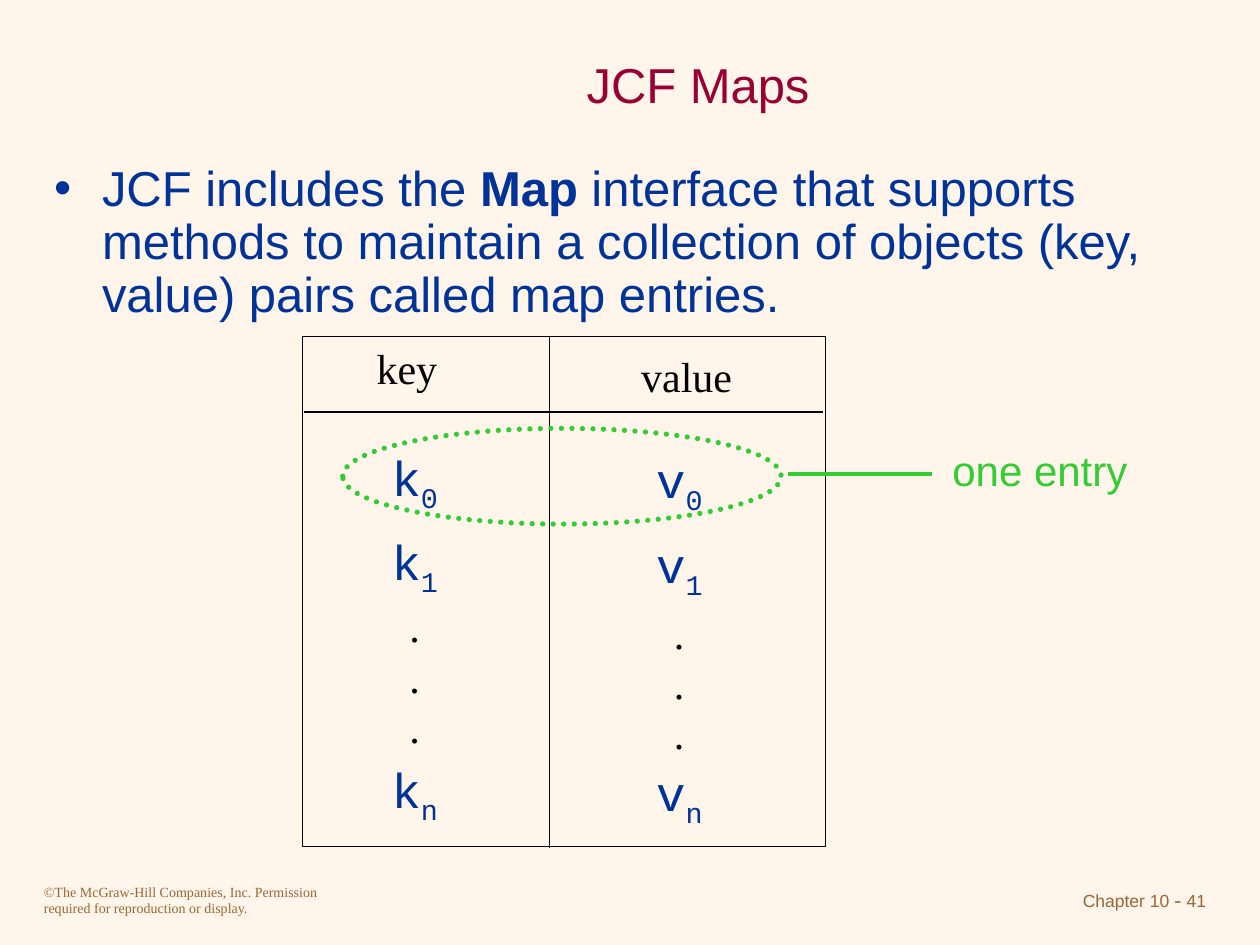
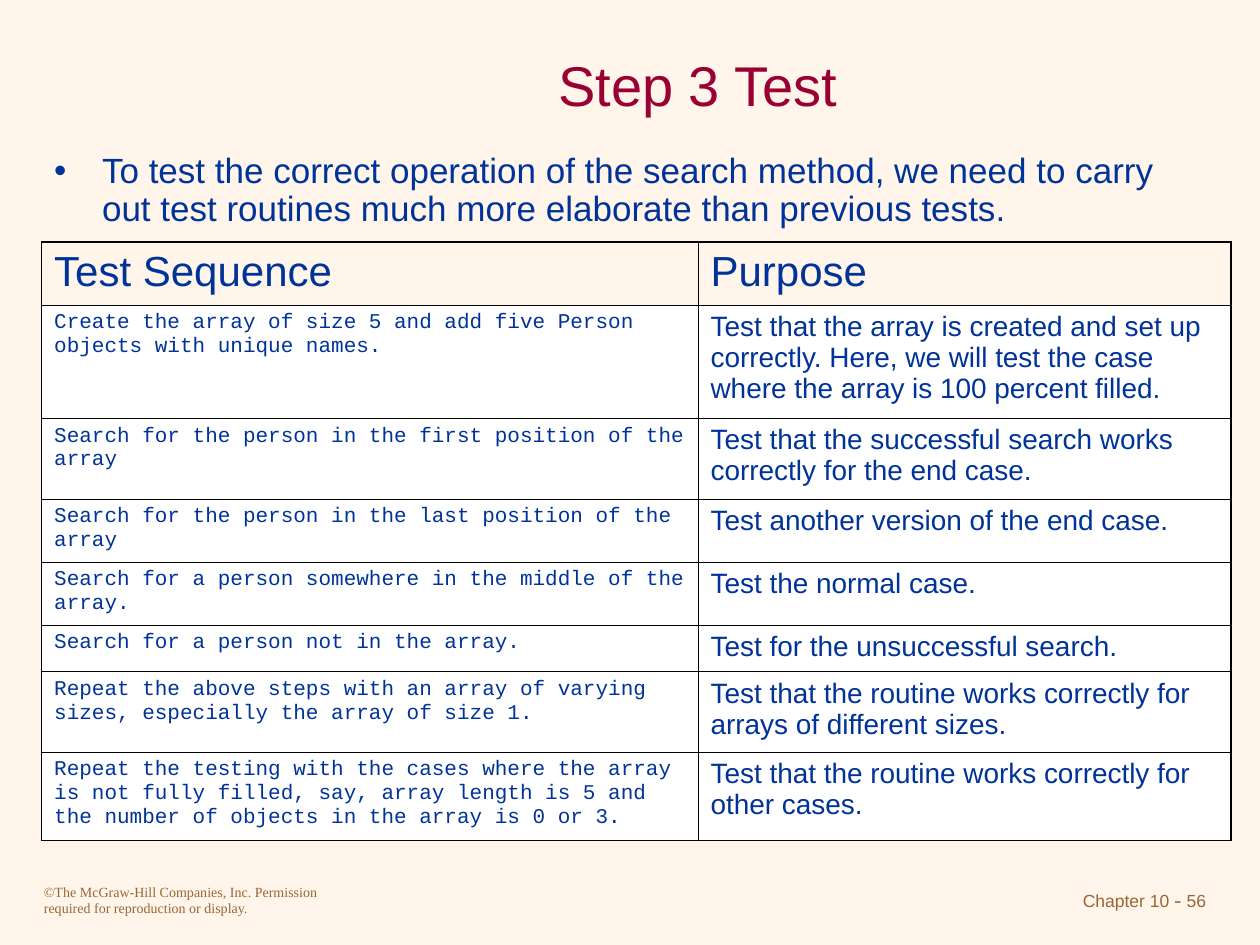
from lxml import etree
from pptx import Presentation
from pptx.dml.color import RGBColor
from pptx.enum.dml import MSO_LINE
from pptx.enum.shapes import MSO_CONNECTOR, MSO_SHAPE
from pptx.enum.text import MSO_ANCHOR, MSO_AUTO_SIZE, PP_ALIGN
from pptx.oxml.ns import qn
from pptx.util import Emu, Pt

EMU_PER_PX = 9144
CREAM, WHITE, BLACK = "FFF5EB", "FFFFFF", "000000"
BLUE, MAROON, BROWN, GREEN = "003399", "990033", "996633", "33CC33"
SANS, SERIF, MONO = "Arial", "Times New Roman", "Courier New"
LEFT, CENTER, RIGHT = PP_ALIGN.LEFT, PP_ALIGN.CENTER, PP_ALIGN.RIGHT
MIDDLE, TOP = MSO_ANCHOR.MIDDLE, MSO_ANCHOR.TOP
NO_FIT = MSO_AUTO_SIZE.NONE
RECT, OVAL = MSO_SHAPE.RECTANGLE, MSO_SHAPE.OVAL
STRAIGHT = MSO_CONNECTOR.STRAIGHT
ROUND_DOT = MSO_LINE.ROUND_DOT
OUTER, INNER = 1.08, 0.45

COPYRIGHT = ("©The McGraw-Hill Companies, Inc. Permission required "
             "for reproduction or display.")
TEST_COLUMNS = [521, 423]
TEST_ROWS = [
    (50, "Test Sequence", "Purpose"),
    (90, "Create the array of size 5 and add five Person objects with unique names.",
     "Test that the array is created and set up correctly. Here, we will test "
     "the case where the array is 100 percent filled."),
    (64, "Search for the person in the first position of the array",
     "Test that the successful search works correctly for the end case."),
    (50, "Search for the person in the last position of the array",
     "Test another version of the end case."),
    (50, "Search for a person somewhere in the middle of the array.",
     "Test the normal case."),
    (37, "Search for a person not in the array.",
     "Test for the unsuccessful search."),
    (64, "Repeat the above steps with an array of varying sizes, especially "
     "the array of size 1.",
     "Test that the routine works correctly for arrays of different sizes."),
    (70, "Repeat the testing with the cases where the array is not fully filled, "
     "say, array length is 5 and the number of objects in the array is 0 or 3.",
     "Test that the routine works correctly for other cases."),
]


def px(*lengths):
    """Turn px lengths into EMU."""
    return [Emu(n * EMU_PER_PX) for n in lengths]


def rgb(color):
    """Turn a hex string into a colour."""
    return RGBColor.from_string(color)


def add_run(p, text, size, font, color, bold=False, baseline=0):
    """Add one formatted run to a paragraph."""
    r = p.add_run()
    r.text = text
    r.font.size = Pt(size)
    r.font.name = font
    r.font.bold = bold
    r.font.color.rgb = rgb(color)
    if baseline:
        r._r.get_or_add_rPr().set("baseline", str(baseline * 1000))


def add_text(shapes, box, runs, align=LEFT, wrap=False):
    """Add a text box holding one paragraph of runs and return its frame."""
    tf = shapes.add_textbox(*px(*box)).text_frame
    tf.word_wrap = wrap
    p = tf.paragraphs[0]
    p.alignment = align
    for run in runs:
        add_run(p, *run)
    return tf


def add_line(shapes, x1, y1, x2, y2, color, width):
    """Add a straight line without a shadow."""
    line = shapes.add_connector(STRAIGHT, *px(x1, y1, x2, y2))
    line.line.color.rgb = rgb(color)
    line.line.width = Pt(width)
    etree.SubElement(line._element.spPr, qn("a:effectLst"))


def add_outline(shapes, kind, box, color, width):
    """Add an unfilled preset shape and return it."""
    sp = shapes.add_shape(kind, *px(*box))
    sp.shadow.inherit = False
    sp.fill.background()
    sp.line.color.rgb = rgb(color)
    sp.line.width = Pt(width)
    return sp


def place(sp, box, anchor):
    """Move a placeholder and return its first paragraph."""
    sp.left, sp.top, sp.width, sp.height = px(*box)
    tf = sp.text_frame
    tf.auto_size = NO_FIT
    tf.word_wrap = True
    tf.vertical_anchor = anchor
    return tf.paragraphs[0]


def add_bullet(p, color, indent):
    """Give a paragraph a coloured round bullet with a hanging indent."""
    pPr = p._p.get_or_add_pPr()
    pPr.set("marL", str(indent * EMU_PER_PX))
    pPr.set("indent", str(-indent * EMU_PER_PX))
    clr = etree.SubElement(pPr, qn("a:buClr"))
    etree.SubElement(clr, qn("a:srgbClr"), val=color)
    etree.SubElement(pPr, qn("a:buChar"), char="•")


def add_slide(prs, title, title_size, body_box, body_runs, number):
    """Add a slide with its title, bullet and footers."""
    s = prs.slides.add_slide(prs.slide_layouts[1])
    p = place(s.shapes.title, (150, 25, 808, 83), MIDDLE)
    p.alignment = CENTER
    add_run(p, title, title_size, SANS, MAROON)

    p = place(s.placeholders[1], body_box, TOP)
    add_bullet(p, BLUE, 38)
    p.line_spacing = 0.9
    p.space_before = Pt(0)
    for run in body_runs:
        add_run(p, *run)

    add_text(s.shapes, (25, 696, 250, 37), [(COPYRIGHT, 8, SERIF, BROWN)], wrap=True)
    add_text(s.shapes, (750, 699, 217, 34),
             [("Chapter 10", 10, SANS, BROWN), (" - ", 12, SERIF, BROWN),
              (str(number), 10, SANS, BROWN)], RIGHT, True)
    return s


def add_map_column(shapes, x, y, head, width, letter, drops):
    """Add a heading, its indexed symbols and the dots between them."""
    head_drop, symbol_drop, dots_drop = drops
    add_text(shapes, (x, y + head_drop, width, 50), [(head, 24, SERIF, BLACK)])
    for index, dy in (("0", 83), ("1", 150), ("n", 331)):
        add_text(shapes, (x + 12, y + dy + symbol_drop, 57, 63),
                 [(letter, 28, MONO, BLUE), (index, 28, MONO, BLUE, False, -25)])
    dot = (".", 24, SERIF, BLACK)
    tf = add_text(shapes, (x + 26, y + 205 + dots_drop, 28, 130), [dot])
    for _ in range(2):
        add_run(tf.add_paragraph(), *dot)


def add_map_diagram(s, x, y, w, h):
    """Draw the key and value columns in a ruled frame."""
    shapes = s.shapes.add_group_shape().shapes
    add_outline(shapes, RECT, (x, y, w, h), BLACK, 0.75)
    add_line(shapes, x + 1, y + 60, x + w - 2, y + 60, BLACK, 0.75)
    add_line(shapes, x + 196, y, x + 196, y + h + 1, BLACK, 0.75)
    add_map_column(shapes, x + 49, y, "key", 68, "k", (0, 0, 0))
    add_map_column(shapes, x + 259, y, "value", 92, "v", (6, 2, 5))


def add_entry_callout(s, x, y, w, h):
    """Ring one entry and label it at the right."""
    shapes = s.shapes.add_group_shape().shapes
    ring = add_outline(shapes, OVAL, (x, y, w, h), GREEN, 3)
    ring.line.dash_style = ROUND_DOT
    ring.line._get_or_add_ln().set("cap", "rnd")
    add_text(shapes, (x + w + 126, y + 8, 159, 50), [("one entry", 24, SANS, GREEN)])
    add_line(shapes, x + w + 5, y + 36, x + w + 120, y + 36, GREEN, 2.25)


def set_borders(cell, widths):
    """Draw the left, right, top and bottom borders of a cell."""
    tcPr = cell._tc.get_or_add_tcPr()
    for i, (side, width) in enumerate(zip("LRTB", widths)):
        ln = etree.Element(qn(f"a:ln{side}"), w=str(Pt(width)))
        fill = etree.SubElement(ln, qn("a:solidFill"))
        etree.SubElement(fill, qn("a:srgbClr"), val=BLACK)
        tcPr.insert(i, ln)


def add_test_table(s, x, y):
    """Add the table of test sequences and purposes."""
    box = px(x, y, sum(TEST_COLUMNS), sum(row[0] for row in TEST_ROWS))
    table = s.shapes.add_table(len(TEST_ROWS), len(TEST_COLUMNS), *box).table
    table.first_row = table.horz_banding = False
    for column, width in zip(table.columns, px(*TEST_COLUMNS)):
        column.width = width
    last = len(TEST_ROWS) - 1
    for i, (height, *texts) in enumerate(TEST_ROWS):
        table.rows[i].height = px(height)[0]
        for j, text in enumerate(texts):
            cell = table.cell(i, j)
            if i == 0:
                cell.fill.background()
                size, font = 24, SANS
            else:
                cell.fill.solid()
                cell.fill.fore_color.rgb = rgb(WHITE)
                size, font = ((12, MONO), (16, SANS))[j]
            edges = (j == 0, j == 1, i == 0, i == last)
            set_borders(cell, [OUTER if edge else INNER for edge in edges])
            add_run(cell.text_frame.paragraphs[0], text, size, font, BLUE)


def main():
    """Build both slides and save them."""
    prs = Presentation()
    prs.slide_width, prs.slide_height = px(1000, 750)
    fill = prs.slide_master.background.fill
    fill.solid()
    fill.fore_color.rgb = rgb(CREAM)

    s = add_slide(prs, "JCF Maps", 28, (33, 125, 933, 139),
                  [("JCF includes the ", 28, SANS, BLUE),
                   ("Map", 28, SANS, BLUE, True),
                   (" interface that supports methods to maintain a collection of "
                    "objects (key, value) pairs called map entries.", 28, SANS, BLUE)],
                  41)
    add_map_diagram(s, 240, 267, 415, 405)
    add_entry_callout(s, 272, 340, 348, 76)

    s = add_slide(prs, "Step 3 Test", 32, (33, 117, 933, 76),
                  [("To test the correct operation of the search method, we need to "
                    "carry out test routines much more elaborate than previous tests.",
                    20, SANS, BLUE)], 56)
    add_test_table(s, 33, 192)
    prs.save("out.pptx")


if __name__ == "__main__":
    main()
